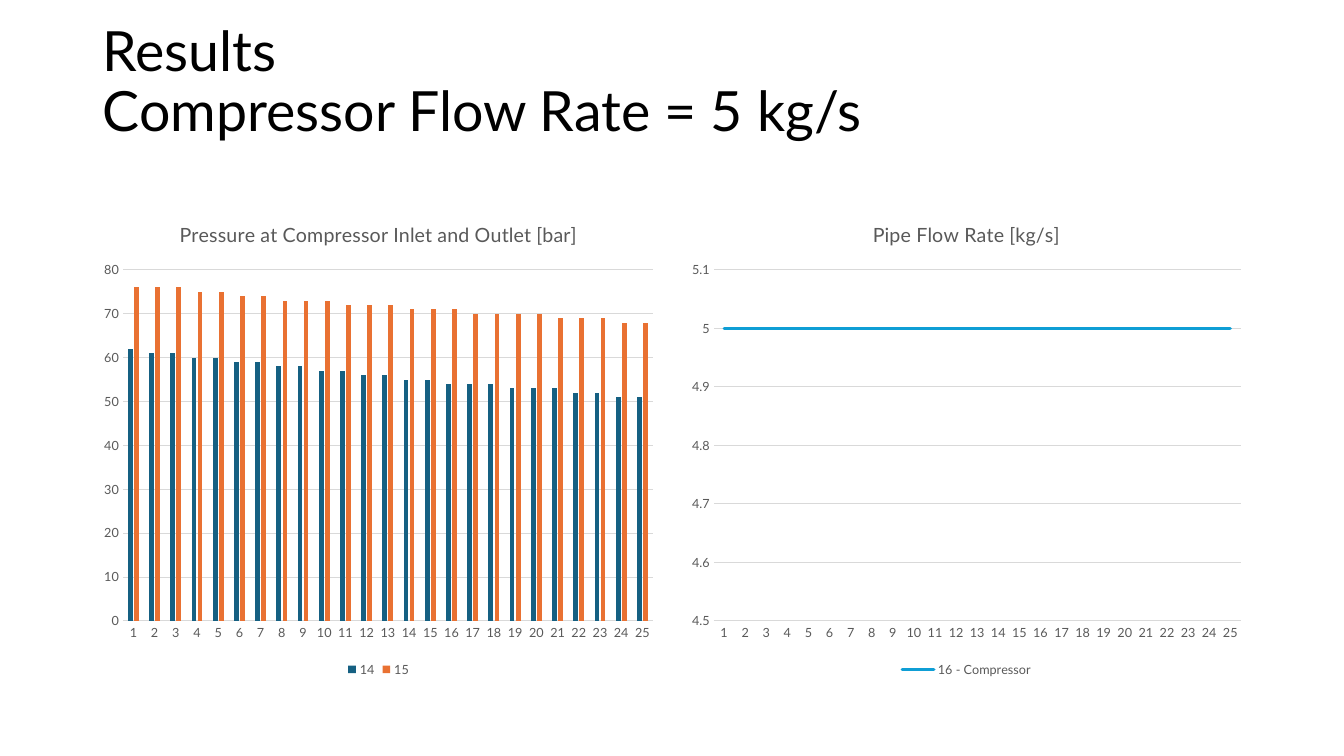
from dataclasses import dataclass

from pptx import Presentation
from pptx import util as u
from pptx.chart.data import CategoryChartData
from pptx.dml.color import RGBColor
from pptx.enum import chart as ch, text as tx


@dataclass(frozen=True)
class Theme:
    font: str = "Lato"
    black: str = "000000"
    grey: str = "595959"
    grid: str = "D9D9D9"
    inlet: str = "156082"
    outlet: str = "E97132"
    flow: str = "0F9ED5"
    heading: float = 39.6
    chart_title: float = 14
    chart_text: float = 10
    label: float = 9


@dataclass(frozen=True)
class Series:
    name: str
    values: list[int]
    color: str


@dataclass(frozen=True)
class ChartPanel:
    title: str
    left: float
    kind: ch.XL_CHART_TYPE
    low: float
    high: float
    step: float
    series: list[Series]


THEME = Theme()
TIME_STEPS = [str(step) for step in range(1, 26)]

PANELS = [
    ChartPanel(
        "Pipe Flow Rate [kg/s]", 6.75, ch.XL_CHART_TYPE.LINE, 4.5, 5.1, 0.1,
        [Series("16 - Compressor", [5] * len(TIME_STEPS), THEME.flow)],
    ),
    ChartPanel(
        "Pressure at Compressor Inlet and Outlet [bar]", 0.92,
        ch.XL_CHART_TYPE.COLUMN_CLUSTERED, 0, 80, 10,
        [
            Series("14", [62, 61, 61, 60, 60, 59, 59, 58, 58, 57, 57, 56, 56,
                          55, 55, 54, 54, 54, 53, 53, 53, 52, 52, 51, 51],
                   THEME.inlet),
            Series("15", [76, 76, 76, 75, 75, 74, 74, 73, 73, 73, 72, 72, 72,
                          71, 71, 71, 70, 70, 70, 70, 69, 69, 69, 68, 68],
                   THEME.outlet),
        ],
    ),
]


def style_font(font, size: float, color: str) -> None:
    font.name = THEME.font
    font.size = u.Pt(size)
    font.bold = False
    font.color.rgb = RGBColor.from_string(color)


def style_line(line, color: str, width: float) -> None:
    line.color.rgb = RGBColor.from_string(color)
    line.width = u.Pt(width)


def write(frame, text: str, *, size: float, color: str,
          spacing: float | None = None) -> None:
    """Fill a text frame with one formatted paragraph."""
    frame.text = text
    paragraph = frame.paragraphs[0]
    if spacing:
        paragraph.line_spacing = spacing
    for run in paragraph.runs:
        style_font(run.font, size, color)


def add_heading(slide, text: str) -> None:
    heading = slide.shapes.add_textbox(
        u.Inches(0.92), u.Inches(0.4), u.Inches(11.5), u.Inches(1.45))
    frame = heading.text_frame
    frame.word_wrap = True
    frame.vertical_anchor = tx.MSO_ANCHOR.MIDDLE
    frame.margin_bottom = u.Inches(0.64)
    write(frame, text, size=THEME.heading, color=THEME.black, spacing=0.9)


def style_axes(chart, panel: ChartPanel) -> None:
    steps, scale = chart.category_axis, chart.value_axis
    for axis in (steps, scale):
        axis.major_tick_mark = axis.minor_tick_mark = ch.XL_TICK_MARK.NONE
        style_font(axis.tick_labels.font, THEME.label, THEME.grey)
    style_line(steps.format.line, THEME.grid, 0.75)
    scale.format.line.fill.background()
    scale.has_major_gridlines = True
    style_line(scale.major_gridlines.format.line, THEME.grid, 0.75)
    scale.minimum_scale, scale.maximum_scale = panel.low, panel.high
    scale.major_unit = panel.step


def style_series(plot, panel: ChartPanel) -> None:
    plot.vary_by_categories = False
    is_line = panel.kind == ch.XL_CHART_TYPE.LINE
    if not is_line:
        plot.gap_width, plot.overlap = 219, -27
    for drawn, series in zip(plot.series, panel.series):
        if is_line:
            drawn.smooth = False
            drawn.marker.style = ch.XL_MARKER_STYLE.NONE
            style_line(drawn.format.line, series.color, 2.25)
            drawn.format.line._get_or_add_ln().set("cap", "rnd")
        else:
            drawn.format.fill.solid()
            drawn.format.fill.fore_color.rgb = RGBColor.from_string(series.color)


def add_panel(slide, panel: ChartPanel) -> None:
    data = CategoryChartData()
    data.categories = TIME_STEPS
    for series in panel.series:
        data.add_series(series.name, series.values)
    chart = slide.shapes.add_chart(
        panel.kind, u.Inches(panel.left), u.Inches(2),
        u.Inches(5.67), u.Inches(4.76), data).chart
    style_font(chart.font, THEME.chart_text, THEME.black)

    # Title and legend
    chart.has_title = True
    write(chart.chart_title.text_frame, panel.title,
          size=THEME.chart_title, color=THEME.grey)
    chart.chart_title.include_in_layout = False
    chart.has_legend = True
    chart.legend.position = ch.XL_LEGEND_POSITION.BOTTOM
    chart.legend.include_in_layout = False
    style_font(chart.legend.font, THEME.label, THEME.grey)

    style_axes(chart, panel)
    style_series(chart.plots[0], panel)


def main() -> None:
    deck = Presentation()
    deck.slide_width, deck.slide_height = u.Inches(13.33), u.Inches(7.5)
    slide = deck.slides.add_slide(deck.slide_layouts[6])

    add_heading(slide, "Results\vCompressor Flow Rate = 5 kg/s")
    for panel in PANELS:
        add_panel(slide, panel)

    deck.save("out.pptx")


if __name__ == "__main__":
    main()
